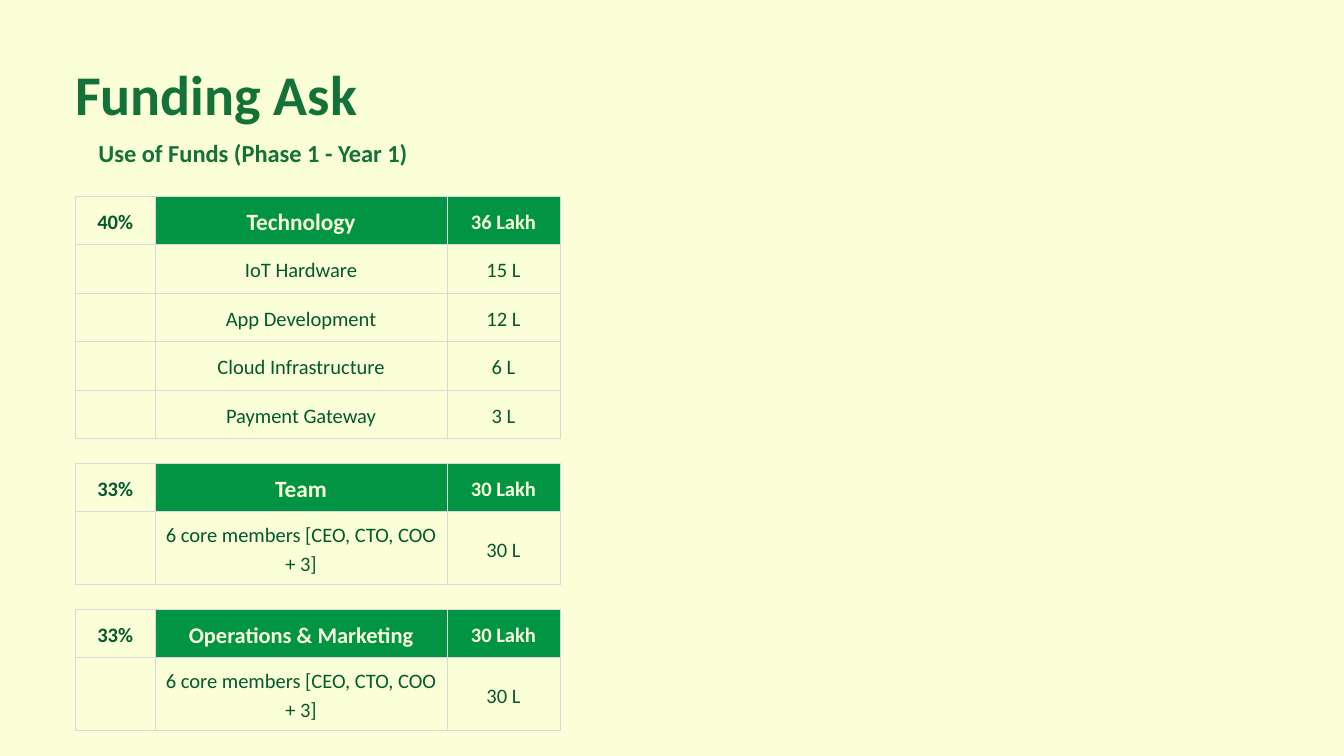
from lxml.etree import SubElement
from pptx import Presentation
from pptx.dml.color import RGBColor
from pptx.enum.text import MSO_ANCHOR, MSO_AUTO_SIZE, PP_ALIGN
from pptx.oxml.ns import qn
from pptx.util import Pt

CREAM = RGBColor(0xFA, 0xFF, 0xD7)
GREEN = RGBColor(0x00, 0x94, 0x44)
DARK = RGBColor(0x02, 0x5A, 0x2C)
HEAD = RGBColor(0x14, 0x71, 0x38)
GRAY = RGBColor(0xD9, 0xD9, 0xD9)

FONT = "Calibri"
LEFT = 80.6
TOP = 210.2
GAP = 26.1
PAD = 5.76
COLS = (85.7, 312.5, 121.3)
ROW = 52
TALL = 78.3

TEAM = "6 core members [CEO, CTO, COO + 3]"
FUNDS = (
    ("40%", "Technology", "36 Lakh", 25, ROW, (
        ("IoT Hardware", "15 L"),
        ("App Development", "12 L"),
        ("Cloud Infrastructure", "6 L"),
        ("Payment Gateway", "3 L"),
    )),
    ("33%", "Team", "30 Lakh", 25, TALL, ((TEAM, "30 L"),)),
    ("33%", "Operations & Marketing", "30 Lakh", 24, TALL, ((TEAM, "30 L"),)),
)


def set_text(frame, text, size, color, bold, space, align):
    frame.text = text
    frame.word_wrap = True
    para = frame.paragraphs[0]
    para.alignment = align
    para.line_spacing = Pt(space)
    font = para.runs[0].font
    font.name = FONT
    font.size = Pt(size)
    font.bold = bold
    font.color.rgb = color


def set_box(shape, left, top, width, height):
    shape.left, shape.top = Pt(left), Pt(top)
    shape.width, shape.height = Pt(width), Pt(height)
    frame = shape.text_frame
    frame.margin_left = frame.margin_right = 0
    frame.margin_top = frame.margin_bottom = 0
    frame.vertical_anchor = MSO_ANCHOR.TOP
    frame.auto_size = MSO_AUTO_SIZE.NONE


def add_title(slide):
    title = slide.shapes.title
    set_box(title, LEFT, 75.6, 872.6, 77)
    set_text(title.text_frame, "Funding Ask", 60, HEAD, True, 60, PP_ALIGN.LEFT)


def add_label(slide):
    label = slide.shapes.add_textbox(0, 0, 0, 0)
    set_box(label, LEFT, 143.3, 380.9, 40.3)
    set_text(label.text_frame, "Use of Funds (Phase 1 - Year 1)", 26.2,
             HEAD, True, 36.6, PP_ALIGN.CENTER)


def add_edges(cell):
    props = cell._tc.get_or_add_tcPr()
    for side in ("a:lnL", "a:lnR", "a:lnT", "a:lnB"):
        line = SubElement(props, qn(side), w=str(Pt(0.75)))
        fill = SubElement(line, qn("a:solidFill"))
        SubElement(fill, qn("a:srgbClr"), val=str(GRAY))


def set_cell(cell, text, size, color, bold, back):
    add_edges(cell)
    cell.fill.solid()
    cell.fill.fore_color.rgb = back
    cell.margin_left = cell.margin_right = Pt(PAD)
    cell.margin_top = cell.margin_bottom = Pt(PAD)
    cell.vertical_anchor = MSO_ANCHOR.MIDDLE
    if text:
        set_text(cell.text_frame, text, size, color, bold, size * 1.4,
                 PP_ALIGN.CENTER)


def add_fund(slide, top, fund):
    share, name, total, size, tall, items = fund
    high = ROW + tall * len(items)
    frame = slide.shapes.add_table(len(items) + 1, len(COLS), Pt(LEFT), Pt(top),
                                   Pt(sum(COLS)), Pt(high))
    table = frame.table
    table.first_row = table.horz_banding = False
    for col, width in zip(table.columns, COLS):
        col.width = Pt(width)
    for row in table.rows:
        row.height = Pt(tall)
    table.rows[0].height = Pt(ROW)
    set_cell(table.cell(0, 0), share, 22, DARK, True, CREAM)
    set_cell(table.cell(0, 1), name, size, CREAM, True, GREEN)
    set_cell(table.cell(0, 2), total, 22, CREAM, True, GREEN)
    for r, item in enumerate(items, 1):
        for c, text in enumerate(("", *item)):
            set_cell(table.cell(r, c), text, 22, DARK, False, CREAM)
    return top + high + GAP


def main():
    deck = Presentation()
    deck.slide_width, deck.slide_height = Pt(1440), Pt(810)
    slide = deck.slides.add_slide(deck.slide_layouts[5])
    slide.background.fill.solid()
    slide.background.fill.fore_color.rgb = CREAM
    add_title(slide)
    add_label(slide)
    top = TOP
    for fund in FUNDS:
        top = add_fund(slide, top, fund)
    deck.save("out.pptx")


if __name__ == "__main__":
    main()
